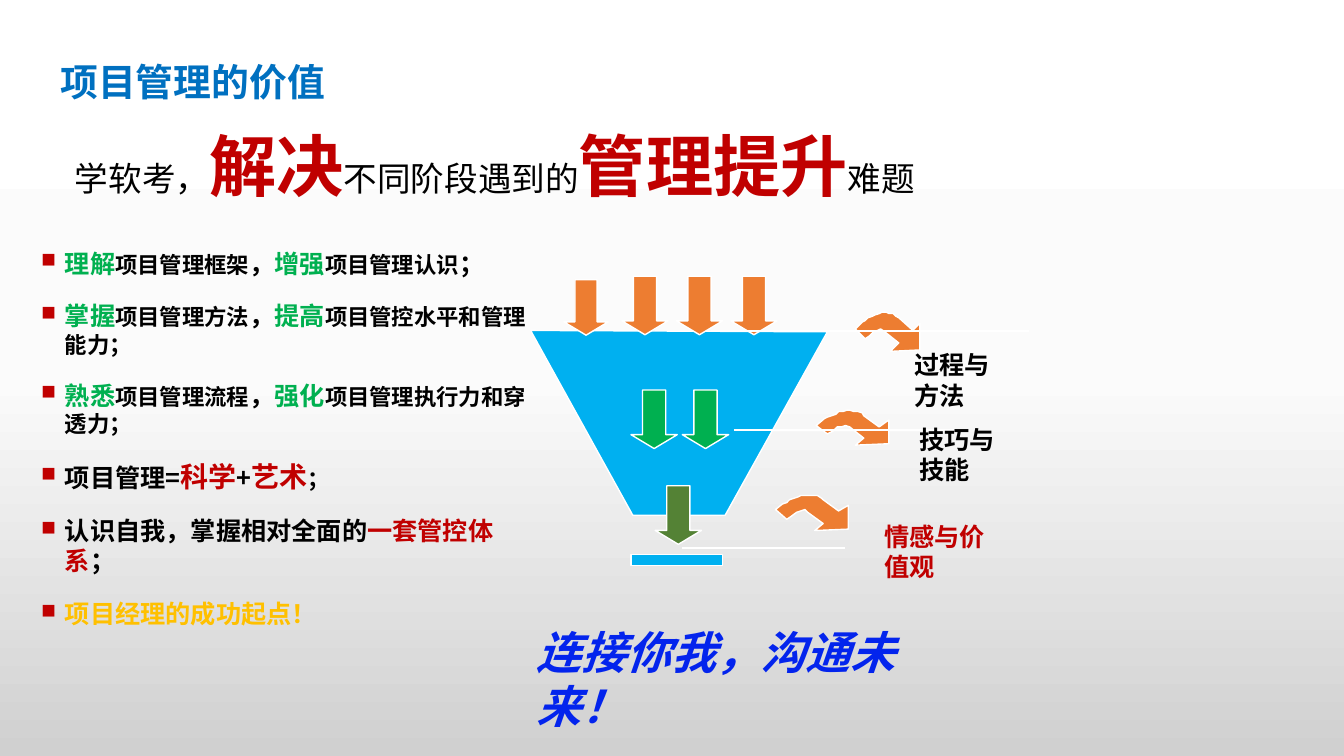
"""Build the slide on the value of project management with its funnel diagram."""
from copy import deepcopy

from pptx import Presentation
from pptx.dml.color import RGBColor
from pptx.enum.shapes import MSO_CONNECTOR as Connector, MSO_SHAPE as Shape
from pptx.enum.text import MSO_ANCHOR as Anchor
from pptx.oxml.ns import qn
from pptx.oxml.xmlchemy import OxmlElement
from pptx.util import Pt

THEME = {
    "white": "FFFFFF", "black": "000000", "title": "0070C0", "red": "C00000",
    "green": "00B050", "gold": "FFC000", "blue": "0324ED", "funnel": "00B0F0",
    "orange": "ED7D31", "moss": "548235",
    "cjk": "Noto Sans CJK SC", "latin": "Calibri",
    "small": 16, "body": 18, "large": 20, "lead": 24, "heading": 27,
    "slogan": 32, "huge": 48, "outline": 1, "rule": 1.5,
}
BACKGROUND = [(0, "FFFFFF"), (0.5, "FBFBFB"), (1, "D0D0D0")]

TITLE = [[("项目管理的价值", "heading", "title", True)]]
LEAD = [[
    ("学软考，", "lead", "black", False), ("解决", "huge", "red", True),
    ("不同阶段遇到的", "lead", "black", False), ("管理提升", "huge", "red", True),
    ("难题", "lead", "black", False),
]]
SLOGAN = [[("连接你我，沟通未来！", "slogan", "blue", True)]]
BENEFITS = [
    ("理解", "项目管理框架", "增强", "项目管理认识"),
    ("掌握", "项目管理方法", "提高", "项目管控水平和管理能力；"),
    ("熟悉", "项目管理流程", "强化", "项目管理执行力和穿透力；"),
]
BULLETS = [[
    (verb, "body", "green", True), (topic, "small", "black", True),
    ("，", "body", "black", True), (second_verb, "body", "green", True),
    (result, "small", "black", True),
] for verb, topic, second_verb, result in BENEFITS] + [
    [("项目管理=", "body", "black", True), ("科学", "large", "red", True),
     ("+", "body", "black", True), ("艺术", "large", "red", True),
     ("；", "small", "black", True)],
    [("认识自我，掌握相对全面的", "body", "black", True),
     ("一套管控体系", "body", "red", True), ("；", "body", "black", True)],
    [("项目经理的成功起点！", "body", "gold", True)],
]
BULLETS[0].append(("；", "body", "black", True))

LABELS = [
    ("过程与方法", "black", (643.7, 244.8, 87.8, 53.3)),
    ("技巧与技能", "black", (647.3, 298.1, 87.8, 53.3)),
    ("情感与价值观", "red", (622.1, 367.2, 92.2, 53.3)),
]
FUNNEL = [(378.7, 236.2), (452.2, 367.9), (517.7, 367.9), (591.1, 236.9)]
FUNNEL_BASE = (450.7, 396, 65.5, 7.9)
ARROW_SIZE = (33.1, 41.8)
FIRST_INPUT = (402.8, 199.8, 31.7, 39.6)
INPUTS = {"left": 444.2, "top": 197.3, "step": 38.9, "count": 3}
MIDDLES = {"left": 450.7, "top": 278.6, "step": 36.7, "count": 2}
OUTPUT = (468, 347)
RULES = [(507.6, 735.1, 236.2), (524.2, 690.5, 307.4), (487.4, 603.4, 391.7)]
SWOOSH_GRID = (72, 35)
SWOOSH = [
    (72, 10), (72, 34), (39, 35), (48, 28), (33, 17), (29, 15), (25, 16),
    (21, 17), (16, 21), (11, 24), (0, 15), (8, 9), (11, 7), (15, 5), (19, 4),
    (22, 2), (26, 1), (30, 0), (34, 0), (38, 1), (42, 1), (46, 3), (48, 5),
    (63, 16),
]
SWOOSHES = [
    (583.2, 293, 51.4, 25.2), (553.7, 353.5, 51.8, 25.2), (610.6, 223.2, 46.8, 27.4),
]


def rgb(name):
    return RGBColor.from_string(THEME[name])


def paint(shape, color):
    shape.shadow.inherit = False
    shape.fill.solid()
    shape.fill.fore_color.rgb = rgb(color)
    shape.line.color.rgb = rgb("white")
    shape.line.width = Pt(THEME["outline"])


def add_preset(page, kind, frame, color):
    shape = page.shapes.add_shape(kind, *map(Pt, frame))
    paint(shape, color)
    return shape


def add_outline(page, points, color):
    builder = page.shapes.build_freeform(*points[0], scale=Pt(1))
    builder.add_line_segments(points[1:], close=True)
    paint(builder.convert_to_shape(), color)


def add_arrow(page, frame, color):
    arrow = add_preset(page, Shape.DOWN_ARROW, frame, color)
    arrow.adjustments[0], arrow.adjustments[1] = 0.5, 0.3


def add_bullet(para):
    properties = para._p.get_or_add_pPr()
    properties.set("indent", str(-Pt(17)))
    tint = OxmlElement("a:buClr")
    color = OxmlElement("a:srgbClr")
    color.set("val", THEME["red"])
    tint.append(color)
    scale = OxmlElement("a:buSzPct")
    scale.set("val", "80000")
    mark = OxmlElement("a:buChar")
    mark.set("char", "■")
    properties.extend([tint, scale, mark])


def add_text(page, frame, paras, insets=(9.4, 5), face="cjk",
             margin=0, bullets=False, italic=None, anchor=Anchor.TOP):
    box = page.shapes.add_textbox(*map(Pt, frame)).text_frame
    side, edge = map(Pt, insets)
    layout = {"word_wrap": True, "vertical_anchor": anchor, "margin_left": side,
              "margin_right": side, "margin_top": edge, "margin_bottom": edge}
    for name, value in layout.items():
        setattr(box, name, value)
    for index, runs in enumerate(paras):
        para = box.add_paragraph() if index else box.paragraphs[0]
        if margin:
            properties = para._p.get_or_add_pPr()
            properties.set("marL", str(Pt(margin)))
            properties.set("hangingPunct", "0")
            para.space_after = Pt(8)
        if index:
            para.space_before = Pt(8)
        if bullets:
            add_bullet(para)
        for text, size, color, bold in runs:
            span = para.add_run()
            span.text = text
            style = {"name": THEME[face], "size": Pt(THEME[size]), "bold": bold,
                     "italic": italic}
            for name, value in style.items():
                setattr(span.font, name, value)
            span.font.color.rgb = rgb(color)
            east_asian = OxmlElement("a:ea")
            east_asian.set("typeface", THEME[face])
            span.font._element.append(east_asian)


def set_background(page):
    fill = page.background.fill
    fill.gradient()
    fill.gradient_angle = 270
    stops = next(page.element.iter(qn("a:gsLst")))
    stops.insert(1, deepcopy(stops[0]))
    for stop, (position, color) in zip(fill.gradient_stops, BACKGROUND):
        stop.position = position
        stop.color.rgb = RGBColor.from_string(color)


def add_funnel(page):
    add_outline(page, FUNNEL, "funnel")
    add_preset(page, Shape.RECTANGLE, FUNNEL_BASE, "funnel")
    add_arrow(page, FIRST_INPUT, "orange")
    for left, top, width, height in SWOOSHES:
        across, down = width / SWOOSH_GRID[0], height / SWOOSH_GRID[1]
        add_outline(page, [(left + x * across, top + y * down) for x, y in SWOOSH], "orange")
    for row, color in ((INPUTS, "orange"), (MIDDLES, "green")):
        for index in range(row["count"]):
            left = row["left"] + index * row["step"]
            add_arrow(page, (left, row["top"], *ARROW_SIZE), color)
    add_arrow(page, (*OUTPUT, *ARROW_SIZE), "moss")
    for start, end, level in RULES:
        rule = page.shapes.add_connector(Connector.STRAIGHT, *map(Pt, (start, level, end, level)))
        rule.line.color.rgb = rgb("white")
        rule.line.width = Pt(THEME["rule"])
        rule._element.spPr.append(OxmlElement("a:effectLst"))


def main():
    deck = Presentation()
    deck.slide_width, deck.slide_height = Pt(960), Pt(540)
    page = deck.slides.add_slide(deck.slide_layouts[6])
    set_background(page)
    add_text(page, (36, 31, 374.4, 54.7), TITLE, (7.2, 3.6), anchor=Anchor.MIDDLE)
    add_funnel(page)
    for text, color, frame in LABELS:
        add_text(page, frame, [[(text, "body", color, True)]], face="latin")
    add_text(page, (1, 172.1, 394, 262.8), BULLETS, margin=36, bullets=True)
    add_text(page, (338, 441.4, 370, 48.2), SLOGAN, margin=36, italic=True)
    add_text(page, (46.4, 85, 661, 65.5), LEAD, (7.2, 3.6))
    deck.save("out.pptx")


if __name__ == "__main__":
    main()
